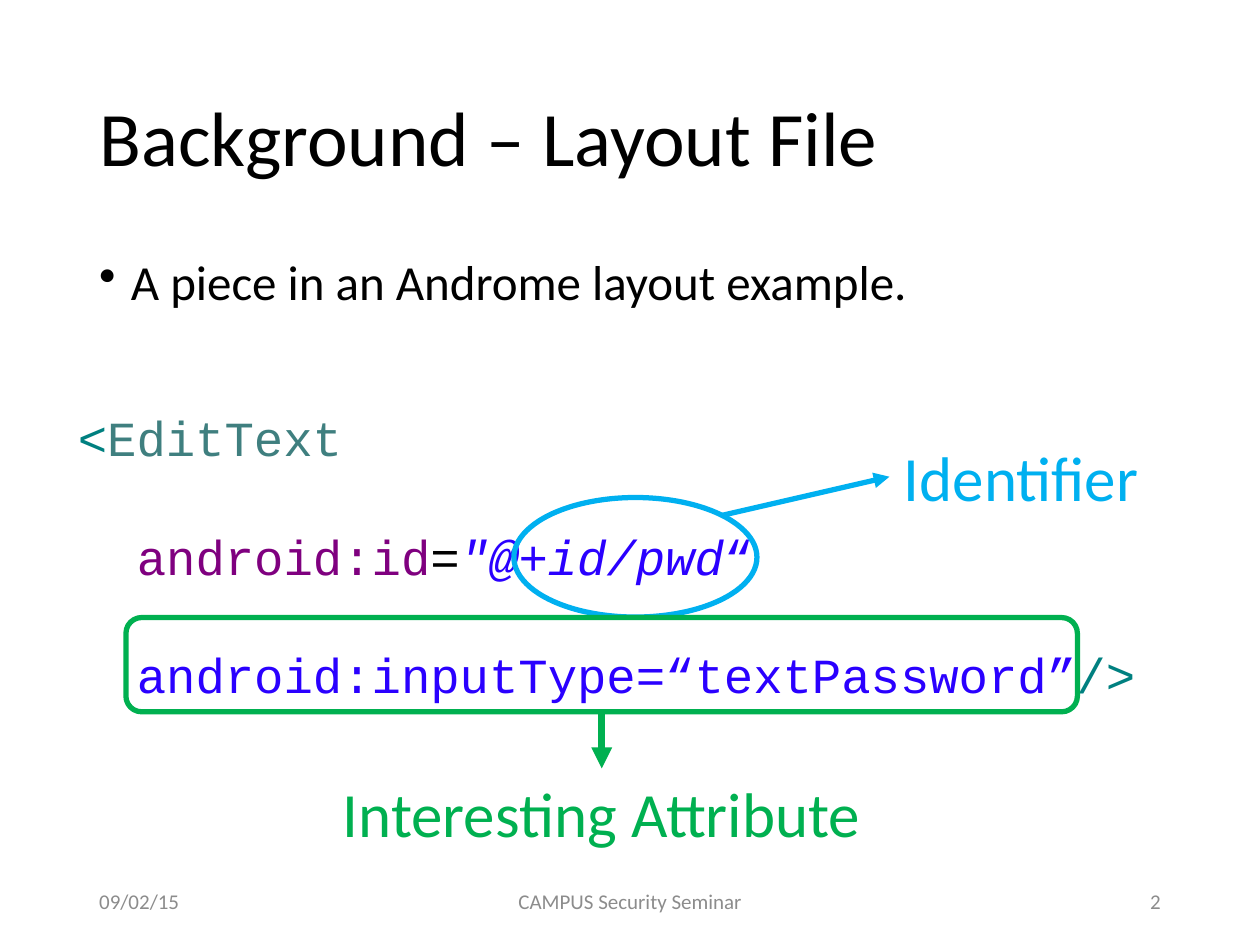
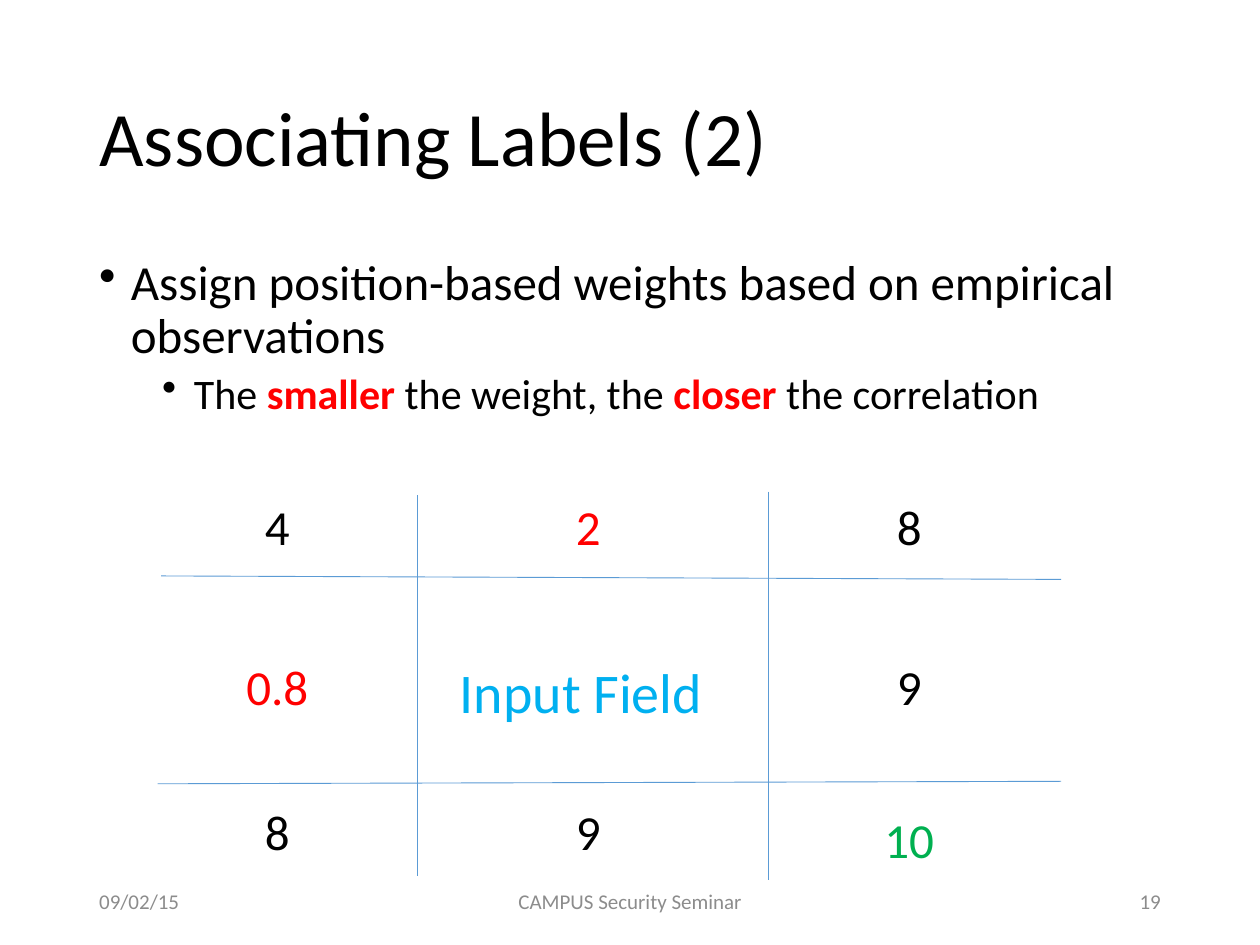
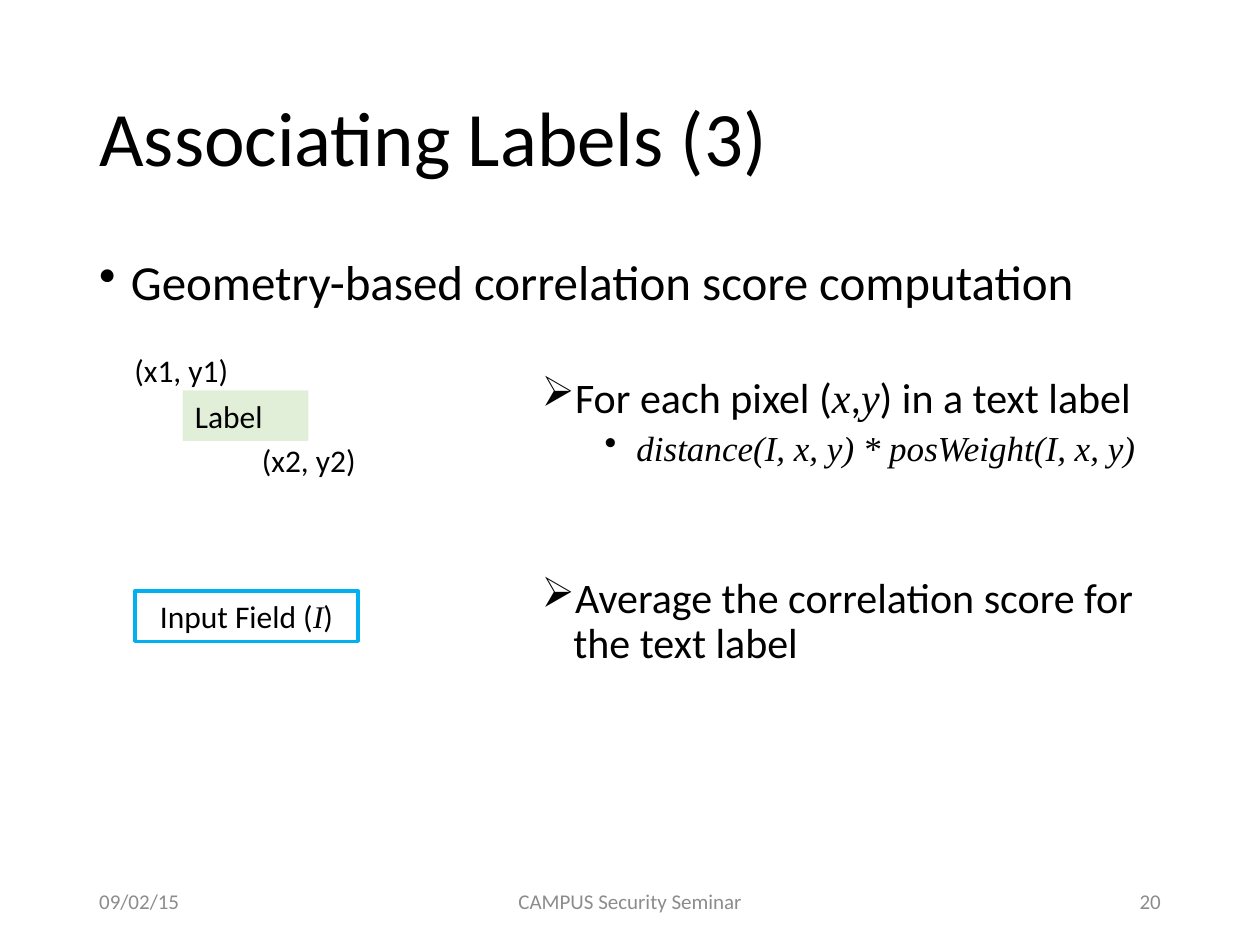
from dataclasses import dataclass

from lxml.etree import SubElement
from pptx import Presentation
from pptx.dml.color import RGBColor
from pptx.enum.shapes import MSO_CONNECTOR, MSO_SHAPE
from pptx.enum.text import MSO_ANCHOR, MSO_AUTO_SIZE, PP_ALIGN
from pptx.oxml.ns import qn
from pptx.util import Cm, Pt

BLACK = RGBColor(0x00, 0x00, 0x00)
GREY = RGBColor(0x8C, 0x8C, 0x8C)
RED = RGBColor(0xFF, 0x00, 0x00)
GREEN = RGBColor(0x00, 0xB0, 0x50)
SKY = RGBColor(0x00, 0xB0, 0xF0)
GRID_BLUE = RGBColor(0x5B, 0x9B, 0xD5)
PALE_GREEN = RGBColor(0xC5, 0xE0, 0xB4)
CODE_TEAL = RGBColor(0x00, 0x80, 0x80)
CODE_TAG = RGBColor(0x3F, 0x7F, 0x7F)
CODE_PURPLE = RGBColor(0x7F, 0x00, 0x7F)
CODE_BLUE = RGBColor(0x2A, 0x00, 0xFF)

SANS = "Calibri"
MONO = "Courier New"
SERIF = "Times New Roman"

TITLE_BOX = (1.75, 1.02, 21.9, 3.68)
FOOTER_TOP, FOOTER_HEIGHT = 17.65, 1.02
TITLE_ONLY = 5


@dataclass
class Run:
    text: str
    size: float = 28
    color: RGBColor = BLACK
    font: str = SANS
    bold: bool = False
    italic: bool = False


def lengths(box):
    return [Cm(value) for value in box]


def write_runs(paragraph, runs, align=PP_ALIGN.LEFT):
    paragraph.alignment = align
    for item in runs:
        run = paragraph.add_run()
        run.text = item.text
        run.font.name = item.font
        run.font.size = Pt(item.size)
        run.font.bold = item.bold
        run.font.italic = item.italic
        run.font.color.rgb = item.color


def add_text(slide, box, *runs, align=PP_ALIGN.LEFT, anchor=MSO_ANCHOR.TOP):
    shape = slide.shapes.add_textbox(*lengths(box))
    frame = shape.text_frame
    frame.word_wrap = True
    frame.vertical_anchor = anchor
    write_runs(frame.paragraphs[0], runs, align)
    return shape


def next_paragraph(frame, index):
    return frame.add_paragraph() if index else frame.paragraphs[0]


def add_bullets(slide, box, *items):
    frame = slide.shapes.add_textbox(*lengths(box)).text_frame
    frame.word_wrap = True
    for index, (level, mark, runs) in enumerate(items):
        paragraph = next_paragraph(frame, index)
        paragraph.level = level
        paragraph.line_spacing = 0.9
        paragraph.space_before = Pt(5 if level else 10)
        properties = paragraph._p.get_or_add_pPr()
        properties.set("marL", str(Cm(0.64 + 1.27 * level)))
        properties.set("indent", str(-Cm(0.64)))
        write_runs(paragraph, runs)
        SubElement(properties, qn("a:buChar")).set("char", mark)


def add_code(slide, box, *lines):
    frame = slide.shapes.add_textbox(*lengths(box)).text_frame
    frame.word_wrap = True
    for index, runs in enumerate(lines):
        paragraph = next_paragraph(frame, index)
        if index:
            paragraph.space_before = Pt(34)
            paragraph._p.get_or_add_pPr().set("marL", str(Cm(1.19)))
        write_runs(paragraph, runs)


def add_outline(slide, kind, box, color=None, width=3):
    shape = slide.shapes.add_shape(kind, *lengths(box))
    shape.shadow.inherit = False
    shape.fill.background()
    if color is None:
        shape.line.fill.background()
    else:
        shape.line.color.rgb = color
        shape.line.width = Pt(width)
    return shape


def add_line(slide, start, end, color, width, arrow=False):
    line = slide.shapes.add_connector(MSO_CONNECTOR.STRAIGHT, *lengths(start + end))
    line.line.color.rgb = color
    line.line.width = Pt(width)
    if arrow:
        SubElement(line.line._get_or_add_ln(), qn("a:tailEnd")).set("type", "triangle")
    SubElement(line._element.spPr, qn("a:effectLst"))
    return line


def add_slide(presentation, title, number):
    slide = presentation.slides.add_slide(presentation.slide_layouts[TITLE_ONLY])
    shape = slide.shapes.title
    shape.left, shape.top, shape.width, shape.height = lengths(TITLE_BOX)
    frame = shape.text_frame
    frame.auto_size = MSO_AUTO_SIZE.NONE
    frame.vertical_anchor = MSO_ANCHOR.MIDDLE
    frame.paragraphs[0].line_spacing = 0.9
    write_runs(frame.paragraphs[0], [Run(title, 44)])
    for left, width, text, align in (
        (1.75, 5.72, "09/02/15", PP_ALIGN.LEFT),
        (8.41, 8.59, "CAMPUS Security Seminar", PP_ALIGN.CENTER),
        (17.93, 5.72, str(number), PP_ALIGN.RIGHT),
    ):
        add_text(slide, (left, FOOTER_TOP, width, FOOTER_HEIGHT),
                 Run(text, 12, GREY), align=align, anchor=MSO_ANCHOR.MIDDLE)
    return slide


def build_layout_file(presentation):
    slide = add_slide(presentation, "Background – Layout File", 2)
    add_bullets(slide, (1.75, 5.08, 21.9, 1.65),
                (0, "•", [Run("A piece in an Androme layout example.")]))
    add_code(
        slide, (1.32, 8.1, 22.76, 6.25),
        [Run("<", color=CODE_TEAL, font=MONO), Run("EditText", color=CODE_TAG, font=MONO)],
        [Run("android:id", color=CODE_PURPLE, font=MONO), Run("=", font=MONO),
         Run('"@+id/pwd', color=CODE_BLUE, font=MONO, italic=True),
         Run("“", color=CODE_BLUE, font=MONO)],
        [Run("android:inputType=“textPassword”", color=CODE_BLUE, font=MONO),
         Run("/>", color=CODE_TEAL, font=MONO)],
    )
    add_outline(slide, MSO_SHAPE.OVAL, (10.36, 10.03, 4.9, 2.41), SKY)
    identifier = add_text(slide, (17.93, 8.71, 5.31, 1.8),
                          Run("Identifier", 36, SKY), align=PP_ALIGN.CENTER)
    identifier_arrow = add_line(slide, (14.55, 10.39), (17.93, 9.61), SKY, 3, arrow=True)
    identifier_arrow.end_connect(identifier, 1)

    attribute_frame = add_outline(slide, MSO_SHAPE.ROUNDED_RECTANGLE,
                                  (2.54, 12.45, 19.18, 1.9), GREEN)
    attribute = add_text(slide, (5.66, 15.49, 12.94, 1.8),
                         Run("Interesting Attribute", 36, GREEN), align=PP_ALIGN.CENTER)
    attribute_arrow = add_line(slide, (12.13, 14.35), (12.13, 15.49), GREEN, 4, arrow=True)
    attribute_arrow.begin_connect(attribute_frame, 2)
    attribute_arrow.end_connect(attribute, 0)


def build_position_weights(presentation):
    slide = add_slide(presentation, "Associating Labels (2)", 19)
    add_bullets(
        slide, (1.75, 5.08, 21.9, 4.42),
        (0, "•", [Run("Assign position-based weights based on empirical observations")]),
        (1, "•", [Run("The ", 24), Run("smaller", 24, RED, bold=True),
                  Run(" the weight, the ", 24), Run("closer", 24, RED, bold=True),
                  Run(" the correlation", 24)]),
    )
    for start, end in (
        ((3.25, 11.61), (21.39, 11.68)),
        ((3.18, 15.8), (21.39, 15.75)),
        ((8.41, 9.98), (8.41, 17.65)),
        ((15.49, 9.91), (15.49, 17.73)),
    ):
        add_line(slide, start, end, GRID_BLUE, 0.5)

    add_text(slide, (9.02, 13.13, 5.66, 1.63), Run("Input Field", 32, SKY))
    left, middle, right = 3.56, 9.83, 16.3
    upper, center, lower = 9.89, 13.12, 16.03
    for x, y, weight, color in (
        (left, upper, "4", BLACK),
        (middle, upper, "2", RED),
        (right, upper, "8", BLACK),
        (left, center, "0.8", RED),
        (right, center, "9", BLACK),
        (left, lower, "8", BLACK),
        (middle, lower, "9", BLACK),
        (right, lower + 0.17, "10", GREEN),
    ):
        add_text(slide, (x, y, 4.06, 1.45), Run(weight, 28, color), align=PP_ALIGN.CENTER)


def build_correlation_score(presentation):
    slide = add_slide(presentation, "Associating Labels (3)", 20)
    add_bullets(slide, (1.75, 5.08, 21.9, 1.93),
                (0, "•", [Run("Geometry-based correlation score computation")]))

    label = add_outline(slide, MSO_SHAPE.RECTANGLE, (3.68, 7.87, 2.54, 1.02))
    label.fill.solid()
    label.fill.fore_color.rgb = PALE_GREEN
    fill_color = label._element.spPr.find(qn("a:solidFill"))[0]
    SubElement(fill_color, qn("a:alpha")).set("val", "50000")
    write_runs(label.text_frame.paragraphs[0], [Run("Label", 18)])

    input_field = add_outline(slide, MSO_SHAPE.RECTANGLE, (2.72, 11.91, 4.5, 1.02), SKY, 2)
    write_runs(input_field.text_frame.paragraphs[0],
               [Run("Input Field (", 18), Run("I", 18, font=SERIF, italic=True), Run(")", 18)],
               PP_ALIGN.CENTER)

    add_text(slide, (2.46, 6.96, 2.49, 1.02), Run("(x1, y1)", 18))
    add_text(slide, (5.03, 8.76, 2.49, 1.02), Run("(x2, y2)", 18))

    add_bullets(
        slide, (9.4, 7.47, 14.25, 2.87),
        (1, "➢", [Run("For each pixel (", 24), Run("x", 24, font=SERIF, italic=True),
                  Run(",", 24), Run("y", 24, font=SERIF, italic=True),
                  Run(") in a text label", 24)]),
        (2, "•", [Run("distance(I, x, y) * posWeight(I, x, y)", 20, font=SERIF, italic=True)]),
    )
    add_bullets(slide, (9.4, 11.51, 14.25, 2.87),
                (1, "➢", [Run("Average the correlation score for the text label", 24)]))


def main():
    presentation = Presentation()
    presentation.slide_width = Cm(25.4)
    presentation.slide_height = Cm(19.05)
    build_layout_file(presentation)
    build_position_weights(presentation)
    build_correlation_score(presentation)
    presentation.save("out.pptx")


if __name__ == "__main__":
    main()
